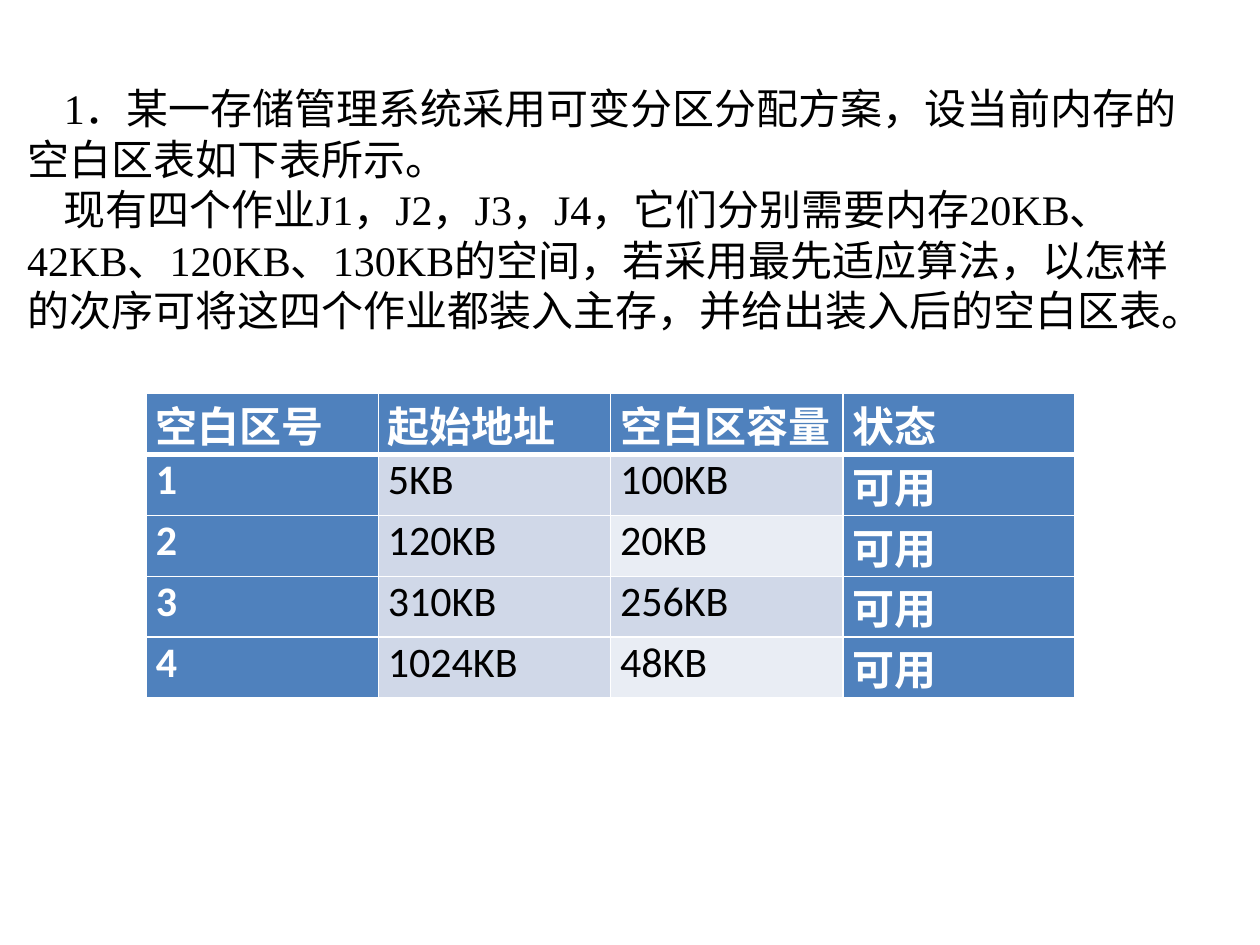
from lxml import etree
from pptx import Presentation
from pptx.dml.color import RGBColor
from pptx.enum.text import MSO_ANCHOR, MSO_AUTO_SIZE, PP_ALIGN
from pptx.oxml.ns import qn
from pptx.util import Cm, Pt

MIDDLE = MSO_ANCHOR.MIDDLE
GROW = MSO_AUTO_SIZE.SHAPE_TO_FIT_TEXT
JUSTIFY = PP_ALIGN.JUSTIFY

COLORS = {
    "header": "4F81BD",
    "band": "D0D8E8",
    "light": "E9EDF4",
    "white": "FFFFFF",
    "text": "000000",
}
QUESTION = [
    "1．某一存储管理系统采用可变分区分配方案，设当前内存的空白区表如下表所示。",
    "现有四个作业J1，J2，J3，J4，它们分别需要内存20KB、42KB、120KB、130KB的空间，"
    "若采用最先适应算法，以怎样的次序可将这四个作业都装入主存，并给出装入后的空白区表。",
]
FREE_AREAS = [
    ("空白区号", "起始地址", "空白区容量", "状态"),
    ("1", "5KB", "100KB", "可用"),
    ("2", "120KB", "20KB", "可用"),
    ("3", "310KB", "256KB", "可用"),
    ("4", "1024KB", "48KB", "可用"),
]
COLUMN_WIDTH, ROW_HEIGHT = 4.68, 1.12


def add_run(paragraph, text, font_name, color, bold=False):
    run = paragraph.add_run()
    run.text = text
    run.font.name = font_name
    run.font.size = Pt(24)
    run.font.bold = bold
    run.font.color.rgb = RGBColor.from_string(COLORS[color])


def set_borders(cell, widths):
    properties = cell._tc.get_or_add_tcPr()
    for side, width in widths.items():
        line = etree.SubElement(properties, qn(f"a:ln{side}"), w=str(Pt(width)))
        fill = etree.SubElement(line, qn("a:solidFill"))
        etree.SubElement(fill, qn("a:srgbClr"), val=COLORS["white"])


def add_question(slide):
    box = slide.shapes.add_textbox(Cm(0.3), Cm(0.91), Cm(24), Cm(6.6))
    frame = box.text_frame
    frame.word_wrap = True
    frame.auto_size = GROW
    frame.vertical_anchor = MIDDLE
    for index, text in enumerate(QUESTION):
        paragraph = frame.add_paragraph() if index else frame.paragraphs[0]
        paragraph._p.get_or_add_pPr().set("indent", str(Cm(0.74)))
        add_run(paragraph, text, "Times New Roman", "text")


def cell_fill(row, column):
    if row == 0 or column in (0, 3):
        return "header"
    return "light" if column == 2 and row % 2 == 0 else "band"


def add_free_area_table(slide):
    rows, columns = len(FREE_AREAS), len(FREE_AREAS[0])
    table = slide.shapes.add_table(
        rows, columns, Cm(2.95), Cm(7.93),
        Cm(COLUMN_WIDTH * columns), Cm(ROW_HEIGHT * rows),
    ).table
    table.first_row = False
    table.horz_banding = False
    for column in table.columns:
        column.width = Cm(COLUMN_WIDTH)
    for row, values in enumerate(FREE_AREAS):
        table.rows[row].height = Cm(ROW_HEIGHT)
        for column, text in enumerate(values):
            cell = table.cell(row, column)
            cell.margin_left = cell.margin_right = Cm(0.19)
            cell.margin_top = cell.margin_bottom = Cm(0)
            set_borders(cell, {
                "L": 1, "R": 1,
                "T": 3 if row == 1 else 1,
                "B": 3 if row == 0 else 1,
            })
            fill = cell_fill(row, column)
            cell.fill.solid()
            cell.fill.fore_color.rgb = RGBColor.from_string(COLORS[fill])
            paragraph = cell.text_frame.paragraphs[0]
            paragraph.alignment = JUSTIFY
            strong = fill == "header"
            add_run(paragraph, text, "Calibri", "white" if strong else "text", strong)


def main():
    presentation = Presentation()
    presentation.slide_width = Cm(25.4)
    presentation.slide_height = Cm(19.05)
    slide = presentation.slides.add_slide(presentation.slide_layouts[6])
    add_free_area_table(slide)
    add_question(slide)
    presentation.save("out.pptx")


if __name__ == "__main__":
    main()
